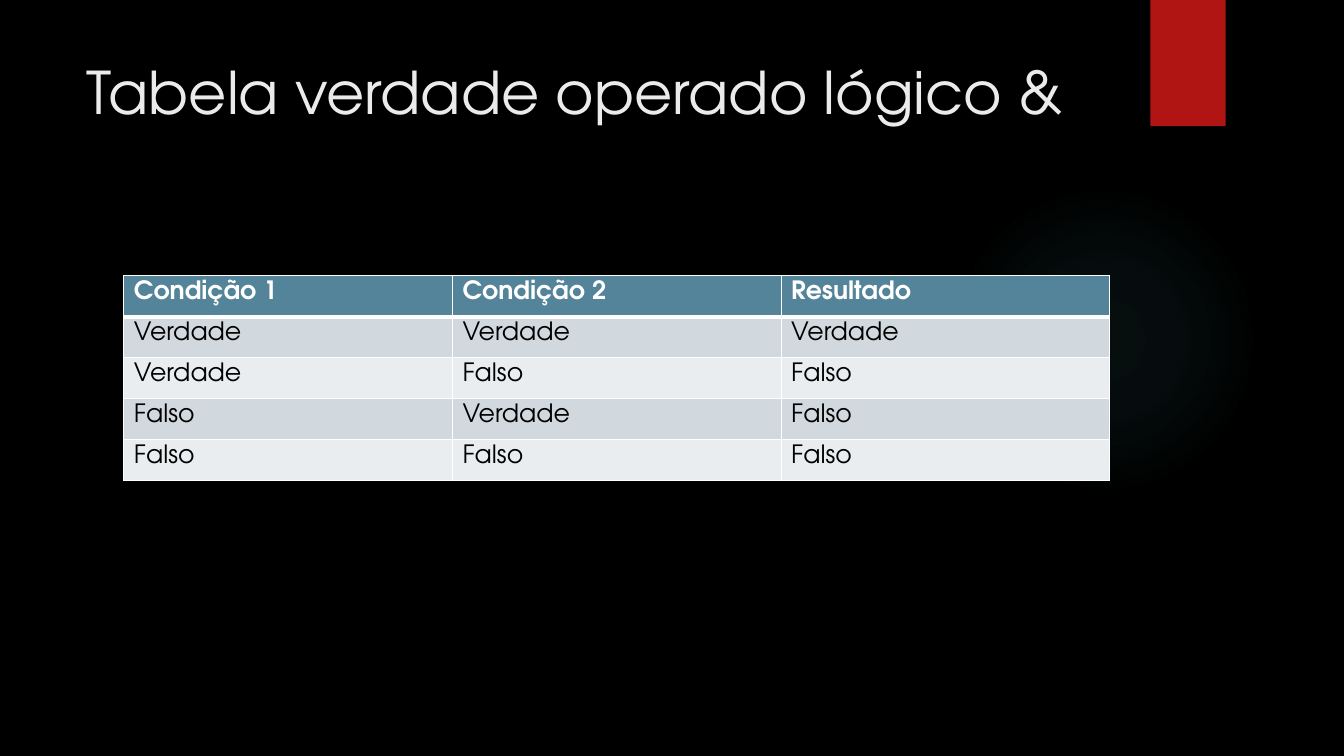
from lxml import etree
from pptx import Presentation, util as u
from pptx.dml.color import RGBColor
from pptx.enum import shapes, text
from pptx.oxml import parse_xml
from pptx.oxml.ns import nsdecls, qn

Cm, Pt = u.Cm, u.Pt
BLACK = RGBColor(0x00, 0x00, 0x00)
WHITE = RGBColor(0xFF, 0xFF, 0xFF)
PALE = RGBColor(0xEB, 0xEB, 0xEB)
RED = RGBColor(0xB0, 0x15, 0x13)
GLOW = RGBColor(0x50, 0xB9, 0xC1)
HEAD = RGBColor(0x54, 0x84, 0x9A)
BANDS = [RGBColor(0xD1, 0xD9, 0xDE), RGBColor(0xE9, 0xED, 0xEF)]
FONT = "TeX Gyre Adventor"


def write(frame, words, size, color, bold=False):
    run = frame.paragraphs[0].add_run()
    run.text = words
    run.font.name = FONT
    run.font.size = Pt(size)
    run.font.bold = bold
    run.font.color.rgb = color


def edge(cell, side, width):
    line = etree.SubElement(cell._tc.get_or_add_tcPr(), qn(f"a:{side}"), w=str(Pt(width)))
    fill = etree.SubElement(line, qn("a:solidFill"))
    etree.SubElement(fill, qn("a:srgbClr"), val=str(WHITE))


deck = Presentation()
deck.slide_width, deck.slide_height = Cm(33.87), Cm(19.05)
slide = deck.slides.add_slide(deck.slide_layouts[6])
slide.background.fill.solid()
slide.background.fill.fore_color.rgb = BLACK

glow = slide.shapes.add_shape(shapes.MSO_SHAPE.OVAL, Cm(23.9), Cm(4.65), Cm(7.82), Cm(7.82))
glow.shadow.inherit = False
glow.line.fill.background()
stops = "".join(
    f'<a:gs pos="{pos * 1000}"><a:srgbClr val="{GLOW}"><a:alpha val="{alpha * 1000}"/></a:srgbClr></a:gs>'
    for pos, alpha in [(0, 7), (36, 6), (69, 0), (100, 0)]
)
glow._element.spPr.find(qn("a:prstGeom")).addnext(parse_xml(
    f'<a:gradFill {nsdecls("a")}><a:gsLst>{stops}</a:gsLst><a:path path="circle">'
    '<a:fillToRect l="50000" t="50000" r="50000" b="50000"/></a:path></a:gradFill>'
))

tab = slide.shapes.add_shape(shapes.MSO_SHAPE.RECTANGLE, Cm(28.99), 0, Cm(1.9), Cm(3.18))
tab.shadow.inherit = False
tab.fill.solid()
tab.fill.fore_color.rgb = RED
tab.line.fill.background()

title = slide.shapes.add_textbox(Cm(1.93), Cm(1.27), Cm(26.14), Cm(3.89)).text_frame
title.word_wrap = True
title.vertical_anchor = text.MSO_ANCHOR.TOP
write(title, "Tabela verdade operado lógico &", 42, PALE)

rows = [
    ("Condição 1", "Condição 2", "Resultado"),
    ("Verdade", "Verdade", "Verdade"),
    ("Verdade", "Falso", "Falso"),
    ("Falso", "Verdade", "Falso"),
    ("Falso", "Falso", "Falso"),
]
grid = slide.shapes.add_table(5, 3, Cm(3.12), Cm(6.95), Cm(24.85), Cm(5.15)).table
for r, row in enumerate(rows):
    grid.rows[r].height = Cm(1.03)
    for c, words in enumerate(row):
        cell = grid.cell(r, c)
        for side in ("lnL", "lnR", "lnT", "lnB"):
            thick = (r, side) in [(0, "lnB"), (1, "lnT")]
            edge(cell, side, 3 if thick else 1)
        cell.fill.solid()
        cell.fill.fore_color.rgb = BANDS[(r - 1) % 2] if r else HEAD
        write(cell.text_frame, words, 18, BLACK if r else WHITE, r == 0)

deck.save("out.pptx")
